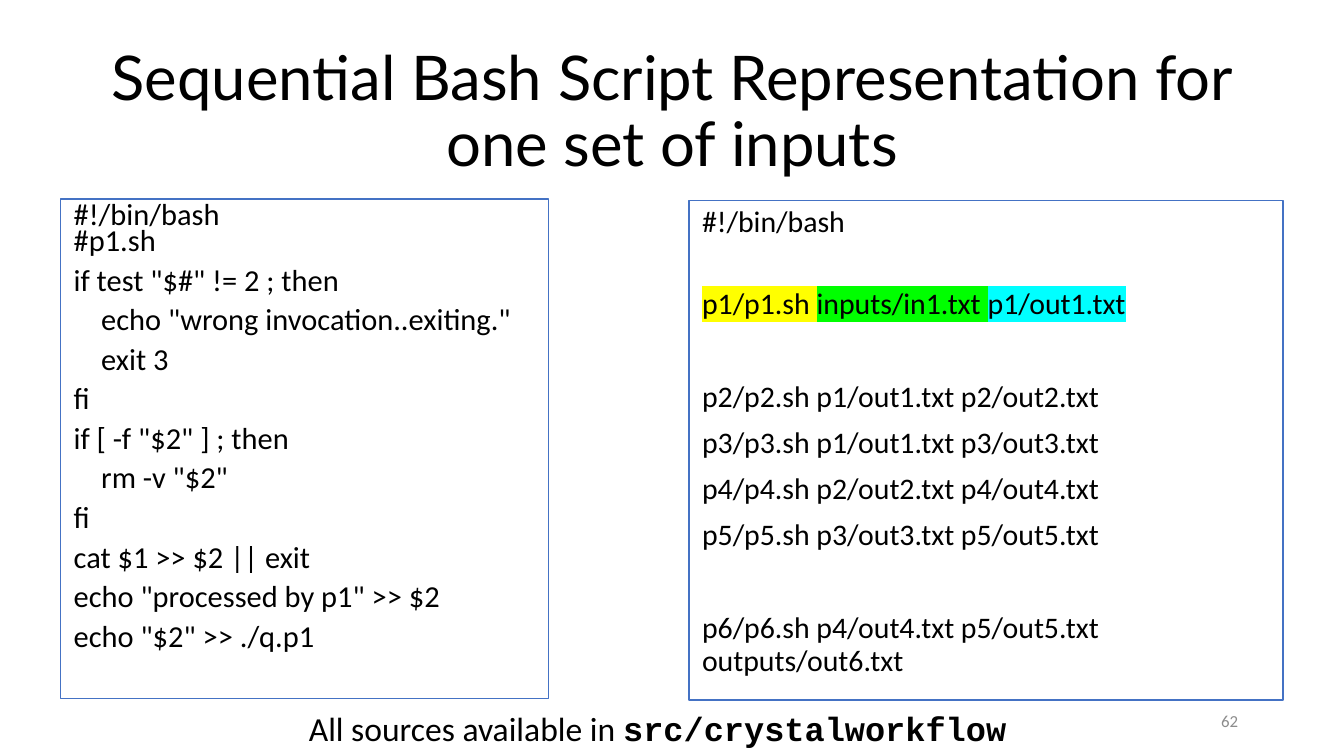
from lxml import etree
from pptx import Presentation, util as u
from pptx.dml.color import RGBColor
from pptx.enum import shapes, text
from pptx.oxml import ns

PX = 4572  # 200 px to the inch
ALIGN = text.PP_ALIGN
ANCHOR = text.MSO_ANCHOR

# Each line: (space before in pt, indent in px, [(words, highlight)])
STEP = [
    (7.5, 0, [("#!/bin/bash\v#p1.sh", None)]),
    (7.5, 0, [('if test "$#" != 2 ; then', None)]),
    (7.5, 41, [('echo "wrong invocation..exiting."', None)]),
    (7.5, 41, [("exit 3", None)]),
    (7.5, 0, [("fi", None)]),
    (7.5, 0, [('if [ -f "$2" ] ; then', None)]),
    (7.5, 41, [('rm -v "$2"', None)]),
    (7.5, 0, [("fi", None)]),
    (7.5, 0, [("cat $1 >> $2 || exit", None)]),
    (7.5, 0, [('echo "processed by p1" >> $2', None)]),
    (7.5, 0, [('echo "$2" >> ./q.p1', None)]),
]
FLOW = [
    (7.5, 0, [("#!/bin/bash", None)]),
    (26.5, 0, [("p1/p1.sh ", "FFFF00"), ("inputs/in1.txt ", "00FF00"),
               ("p1/out1.txt", "00FFFF")]),
    (32.5, 0, [("p2/p2.sh p1/out1.txt p2/out2.txt", None)]),
    (7.5, 0, [("p3/p3.sh p1/out1.txt p3/out3.txt", None)]),
    (7.5, 0, [("p4/p4.sh p2/out2.txt p4/out4.txt", None)]),
    (7.5, 0, [("p5/p5.sh p3/out3.txt p5/out5.txt", None)]),
    (32.5, 0, [("p6/p6.sh p4/out4.txt p5/out5.txt outputs/out6.txt", None)]),
]


def color(code):
    return RGBColor.from_string(code)


def style(run, size, font="Calibri", ink="000000", bold=False):
    run.font.size = u.Pt(size)
    run.font.name = font
    run.font.bold = bold
    run.font.fill.solid()
    run.font.fill.fore_color.rgb = color(ink)


def mark(run, code):
    """Highlight a run that already has a colour."""
    glow = etree.Element(ns.qn("a:highlight"))
    etree.SubElement(glow, ns.qn("a:srgbClr"), val=code)
    run.font._element.find(ns.qn("a:solidFill")).addnext(glow)


def label(slide, box, words, size, align=ALIGN.LEFT, anchor=ANCHOR.TOP,
          wrap=True, **look):
    area = slide.shapes.add_textbox(*(n * PX for n in box))
    frame = area.text_frame
    frame.text = words
    frame.word_wrap = wrap
    frame.vertical_anchor = anchor
    para = frame.paragraphs[0]
    para.alignment = align
    style(para.runs[0], size, **look)
    return para


def listing(slide, box, lines, size, pitch):
    """Draw a framed script."""
    area = slide.shapes.add_shape(shapes.MSO_SHAPE.RECTANGLE,
                                  *(n * PX for n in box))
    area.shadow.inherit = False
    area.fill.background()
    area.line.color.rgb = color("4472C4")
    area.line.width = u.Pt(0.75)
    frame = area.text_frame
    frame.word_wrap = True
    frame.vertical_anchor = ANCHOR.TOP
    for i, (gap, indent, parts) in enumerate(lines):
        para = frame.add_paragraph() if i else frame.paragraphs[0]
        para.alignment = ALIGN.LEFT
        para.line_spacing = pitch
        para.space_before = u.Pt(gap)
        para._p.get_or_add_pPr().set("marL", str(indent * PX))
        if len(parts) == 1:
            para.text = parts[0][0]
        else:
            for words, _ in parts:
                para.add_run().text = words
        for run in para.runs:
            style(run, size)
        for run, (_, glow) in zip(para.runs, parts):
            if glow:
                mark(run, glow)


def footer(slide, box):
    para = label(slide, box, "All sources available in ", 18, wrap=False)
    code = para.add_run()
    code.text = "src/crystalworkflow"
    style(code, 18, font="Courier New", bold=True)


def main():
    deck = Presentation()
    deck.slide_width, deck.slide_height = 2000 * PX, 1125 * PX
    slide = deck.slides.add_slide(deck.slide_layouts[6])
    title = label(slide, (138, 60, 1724, 218),
                  "Sequential Bash Script Representation for one set of inputs",
                  33, ALIGN.CENTER, ANCHOR.MIDDLE, font="Lato")
    title.line_spacing = 0.9
    listing(slide, (1025, 298, 884, 744), FLOW, 16, 0.9)
    label(slide, (1412, 1043, 450, 60), "62", 9, ALIGN.RIGHT, ANCHOR.MIDDLE,
          ink="8C8C8C")
    listing(slide, (90, 296, 726, 744), STEP, 16.3, 0.7)
    footer(slide, (440, 1044, 1086, 80))
    deck.save("out.pptx")


if __name__ == "__main__":
    main()
